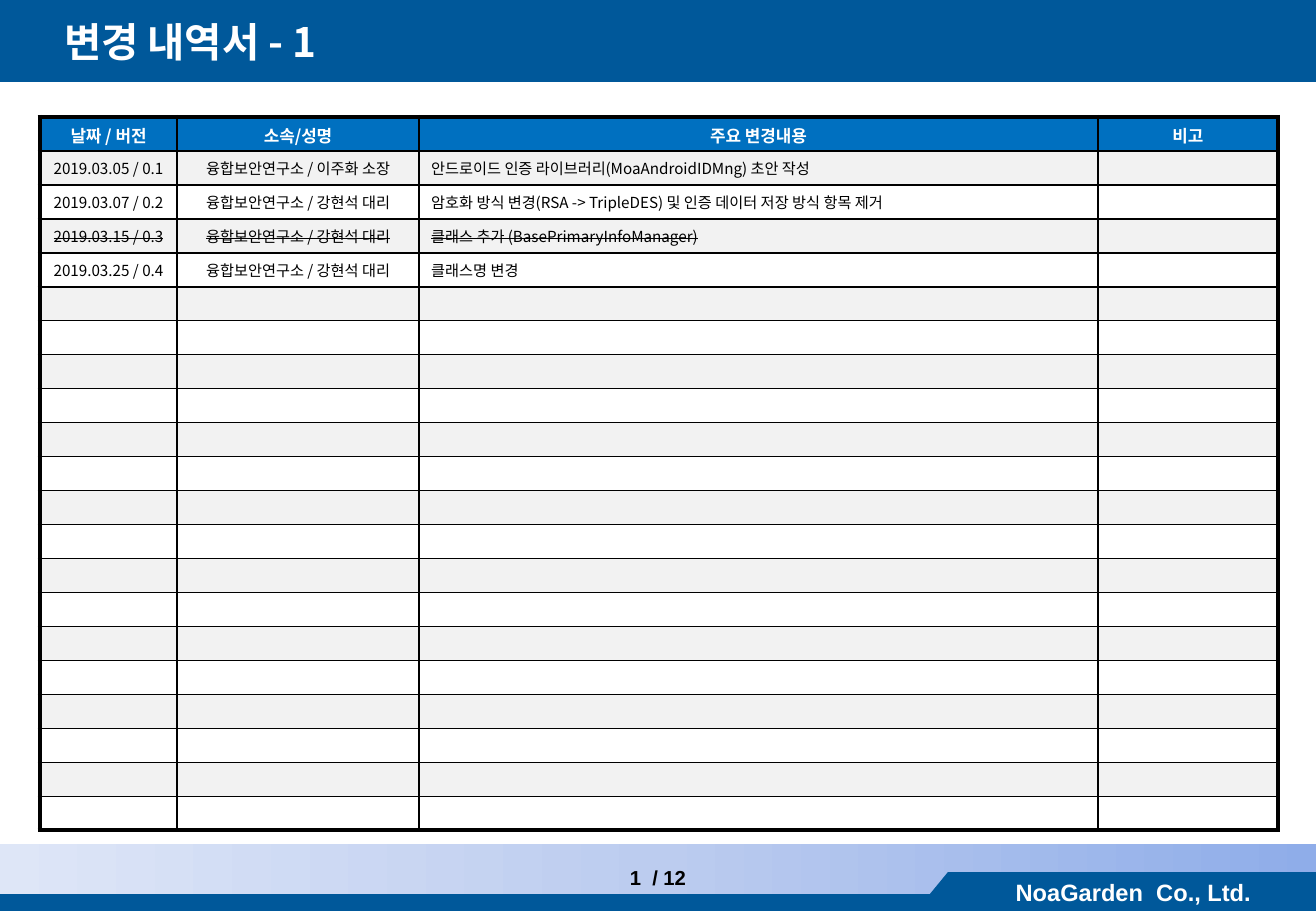
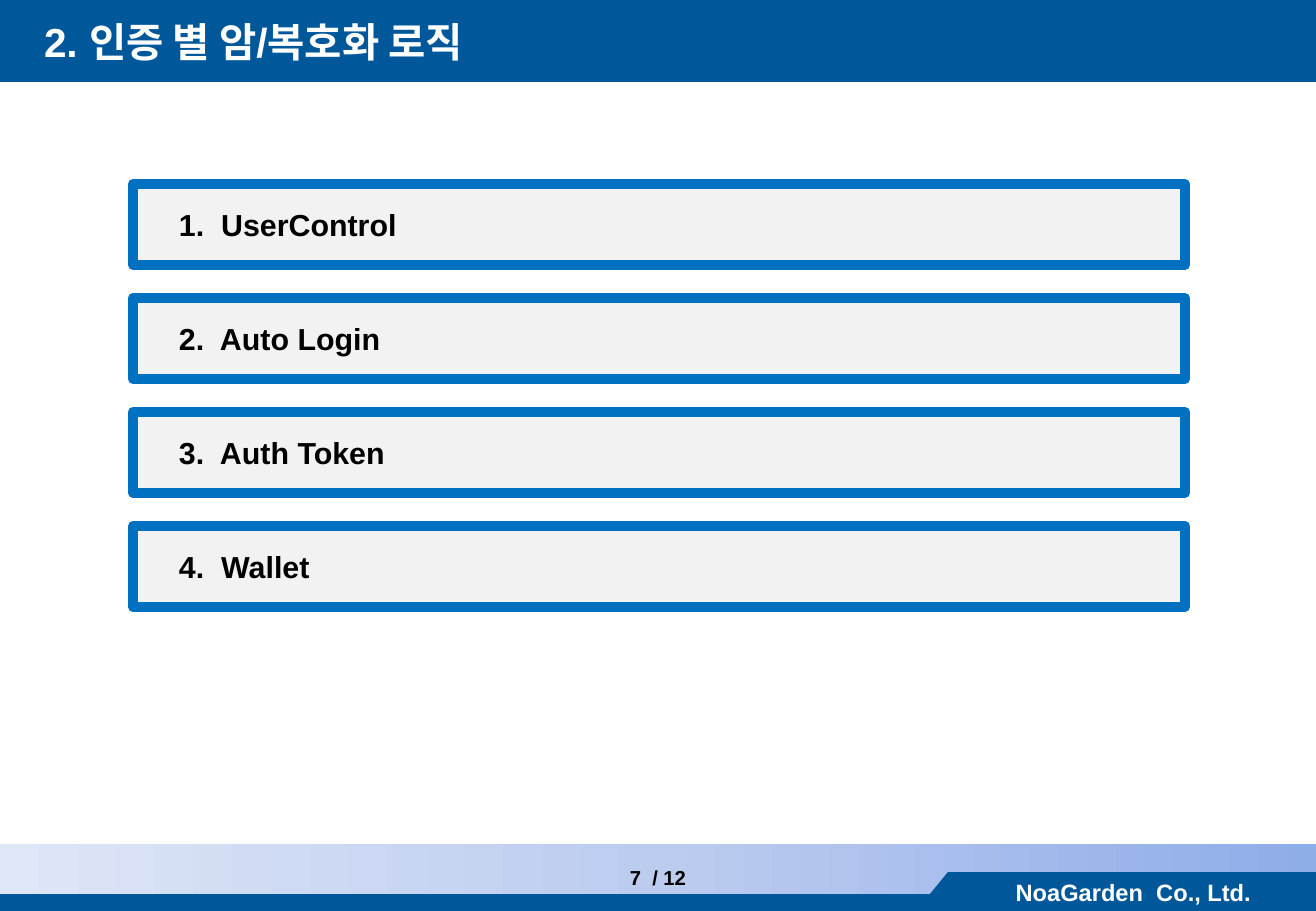
import copy
import pptx
import pptx.dml.color
import pptx.enum.shapes
import pptx.enum.text
import pptx.oxml
import pptx.oxml.ns
import pptx.util
from dataclasses import dataclass

PX = 7526  # EMU in one px
WIDE, HIGH = 1316, 911
RECT = pptx.enum.shapes.MSO_SHAPE.RECTANGLE
LEFT = pptx.enum.text.PP_ALIGN.LEFT
MID = pptx.enum.text.PP_ALIGN.CENTER
ANCHOR = pptx.enum.text.MSO_ANCHOR


@dataclass(frozen=True)
class Theme:
    navy: str = "00589A"
    blue: str = "0070C0"
    pale: str = "F2F2F2"
    white: str = "FFFFFF"
    black: str = "000000"
    fade: tuple = ((0, "8FADE9"), (0.5, "BCCCEF"), (1, "DEE6F7"))
    sans: str = "Arial"
    hangul: str = "Noto Sans CJK KR"
    title: int = 24
    item: int = 18
    firm: int = 14
    page: int = 12
    head: int = 10
    cell: int = 9


T = Theme()


# Helpers
def rgb(hue):
    return pptx.dml.color.RGBColor.from_string(hue)


def emu(*nums):
    return [pptx.util.Emu(round(num * PX)) for num in nums]


def apply(part, form):
    for key, val in form.items():
        setattr(part, key, val)


def write(frame, text, size, hue, face=T.sans, bold=True, align=LEFT,
          strike=False, **form):
    apply(frame, {"word_wrap": True, **form})
    para = frame.paragraphs[0]
    para.alignment = align
    run = para.add_run()
    run.text = text
    apply(run.font, {"size": pptx.util.Pt(size), "bold": bold, "name": face})
    run.font.color.rgb = rgb(hue)
    props = run.font._element
    east = pptx.oxml.parse_xml(
        f'<a:ea {pptx.oxml.ns.nsdecls("a")} typeface="{T.hangul}"/>')
    props.find(pptx.oxml.ns.qn("a:latin")).addnext(east)
    if strike:
        props.set("strike", "sngStrike")


def plain(shape, hue, edge=None, thick=0):
    shape.shadow.inherit = False
    shape.fill.solid()
    shape.fill.fore_color.rgb = rgb(hue)
    if edge:
        shape.line.color.rgb = rgb(edge)
        shape.line.width = pptx.util.Pt(thick)
    else:
        shape.line.fill.background()
    return shape


def block(slide, box, hue, edge=None, thick=0):
    return plain(slide.shapes.add_shape(RECT, *emu(*box)), hue, edge, thick)


# Shared bands, held by the layout
def fade(shape):
    shape.fill.gradient()
    stops = shape.element.xpath(".//a:gs")
    stops[0].addnext(copy.deepcopy(stops[0]))
    for stop, (pos, hue) in zip(shape.fill.gradient_stops, T.fade):
        stop.position = pos
        stop.color.rgb = rgb(hue)
    shape.fill.gradient_angle = 180


def bands(slide, layout):
    foot = block(slide, (0, 844, WIDE, 67), T.white)
    fade(foot)
    top = block(slide, (-1, 0, WIDE + 2, 82), T.navy)
    base = block(slide, (-1, 894, WIDE + 2, 19), T.navy)
    pen = slide.shapes.build_freeform(920, 906, scale=PX)
    pen.add_line_segments([(948, 906), (948, 872)])
    slope = plain(pen.convert_to_shape(), T.navy)
    firm = block(slide, (948, 872, 371, 41), T.navy)
    write(firm.text_frame, "NoaGarden  Co., Ltd.", T.firm, T.white,
          align=MID, vertical_anchor=ANCHOR.MIDDLE)
    for shape in (foot, top, base, slope, firm):
        layout.shapes.element.append(shape.element)


# Title and page number
def frame(slide, text, page, face, inset):
    head = slide.shapes.title
    apply(head, dict(zip(("left", "top", "width", "height"),
                         emu(32, 0, 1282, 82))))
    side, none = emu(inset, 0)
    write(head.text_frame, text, T.title, T.white, face,
          margin_left=side, margin_top=none, margin_bottom=none,
          vertical_anchor=ANCHOR.MIDDLE,
          auto_size=pptx.enum.text.MSO_AUTO_SIZE.NONE)
    note = slide.shapes.add_textbox(*emu(0, 859, WIDE, 40))
    write(note.text_frame, f"{page}  / 12", T.page, T.black, align=MID)


# Table of changes
def border(cell, sides):
    props = cell._tc.get_or_add_tcPr()
    for spot, (side, thick) in enumerate(sides.items()):
        props.insert(spot, pptx.oxml.parse_xml(
            f'<a:ln{side} {pptx.oxml.ns.nsdecls("a")} w="{thick * 12700}">'
            f'<a:solidFill><a:srgbClr val="{T.black}"/></a:solidFill>'
            f'</a:ln{side}>'))


def blank(cell):
    cell.text_frame.paragraphs[0]._p.append(pptx.oxml.parse_xml(
        f'<a:endParaRPr {pptx.oxml.ns.nsdecls("a")} sz="{T.cell * 100}">'
        f'<a:latin typeface="{T.hangul}"/><a:ea typeface="{T.hangul}"/>'
        f'</a:endParaRPr>'))


def grid(slide, box, cols, rows, count, struck):
    table = slide.shapes.add_table(count, len(cols), *emu(*box)).table
    table.horz_banding = False
    for col, wide in zip(table.columns, cols):
        col.width = emu(wide)[0]
    for row in table.rows:
        row.height = emu(box[3] // count)[0]
    last = len(cols) - 1
    for r in range(count):
        for c in range(len(cols)):
            cell = table.cell(r, c)
            cell.vertical_anchor = ANCHOR.MIDDLE
            cell.fill.solid()
            hue = T.blue if r == 0 else T.pale if r % 2 else T.white
            cell.fill.fore_color.rgb = rgb(hue)
            border(cell, {"L": 1 if c else 3, "R": 3 if c == last else 1,
                          "T": 1 if r else 3, "B": 3 if r == count - 1 else 1})
            text = rows[r][c] if r < len(rows) and c < len(rows[r]) else ""
            if text:
                write(cell.text_frame, text, T.cell if r else T.head,
                      T.black if r else T.white, T.hangul, bold=r == 0,
                      align=LEFT if r and c == 2 else MID,
                      strike=r == struck)
            else:
                blank(cell)


# Stack of framed items
def stack(slide, box, step, items):
    left, top, wide, high = box
    for num, item in enumerate(items):
        bar = block(slide, (left, top + num * step, wide, high),
                    T.pale, T.blue, 6)
        write(bar.text_frame, f"{num + 1}.  {item}", T.item, T.black,
              margin_left=emu(46)[0], vertical_anchor=ANCHOR.MIDDLE)


TEAM = "융합보안연구소 / "
LOG = [
    ("날짜 / 버전", "소속/성명", "주요 변경내용", "비고"),
    ("2019.03.05 / 0.1", TEAM + "이주화 소장",
     "안드로이드 인증 라이브러리(MoaAndroidIDMng) 초안 작성"),
    ("2019.03.07 / 0.2", TEAM + "강현석 대리",
     "암호화 방식 변경(RSA -> TripleDES) 및 인증 데이터 저장 방식 항목 제거"),
    ("2019.03.15 / 0.3", TEAM + "강현석 대리",
     "클래스 추가 (BasePrimaryInfoManager)"),
    ("2019.03.25 / 0.4", TEAM + "강현석 대리", "클래스명 변경"),
]


def main():
    deck = pptx.Presentation()
    deck.slide_width, deck.slide_height = emu(WIDE, HIGH)
    layout = deck.slide_layouts.get_by_name("Title Only")

    log = deck.slides.add_slide(layout)
    bands(log, layout)
    frame(log, "변경 내역서 - 1", 1, T.hangul, 32)
    grid(log, (40, 117, 1238, 714), (137, 242, 679, 180), LOG, 21, struck=3)

    logic = deck.slides.add_slide(layout)
    frame(logic, "2. 인증 별 암/복호화 로직", 7, T.sans, 12)
    stack(logic, (133, 184, 1052, 81), 114,
          ("UserControl", "Auto Login", "Auth Token", "Wallet"))

    deck.save("out.pptx")


if __name__ == "__main__":
    main()
